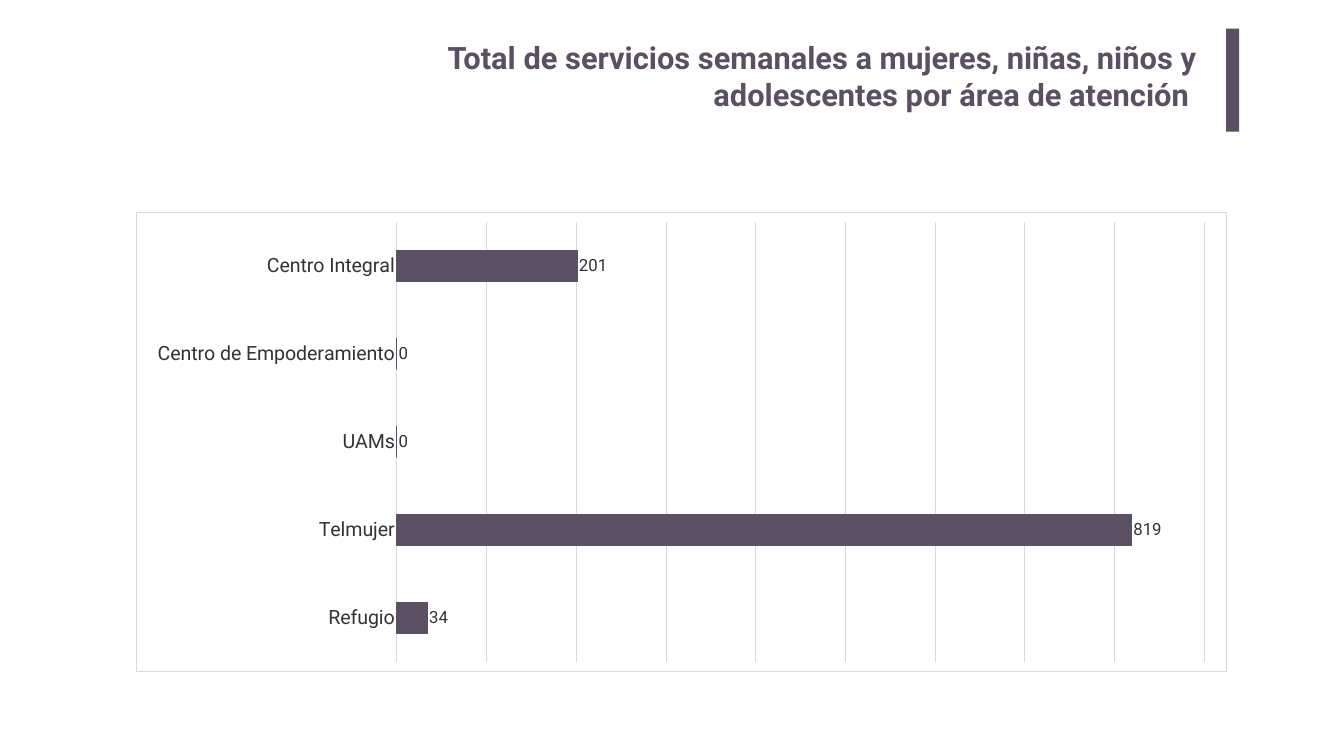
from lxml import etree
from pptx import Presentation
from pptx.chart.data import CategoryChartData
from pptx.dml.color import RGBColor
from pptx.enum.chart import XL_CHART_TYPE, XL_LABEL_POSITION, XL_TICK_MARK
from pptx.enum.shapes import MSO_SHAPE
from pptx.enum.text import MSO_ANCHOR, MSO_AUTO_SIZE, PP_ALIGN
from pptx.oxml import parse_xml
from pptx.oxml.ns import nsdecls
from pptx.util import Inches, Pt

# Content
TITLE = "Total de servicios semanales a mujeres, niñas, niños y adolescentes por área de atención "
SERVICES = [
    ("Centro Integral", 201),
    ("Centro de Empoderamiento", 0),
    ("UAMs", 0),
    ("Telmujer", 819),
    ("Refugio", 34),
]


class Theme:
    font = "Roboto"
    accent, text, rule, paper = "5B4F63", "333333", "D9D9D9", "FFFFFF"
    title_size, category_size, value_size, chart_size = 44, 28, 24, 10
    line_width = 0.75


def color(code):
    return RGBColor.from_string(code)


def place(left, top, width, height):
    return [Inches(value) for value in (left, top, width, height)]


def style_font(font, size, code, bold=False):
    font.name, font.size, font.bold = Theme.font, Pt(size), bold
    font.color.rgb = color(code)


def style_line(line, code):
    line.color.rgb = color(code)
    line.width = Pt(Theme.line_width)


def write_text(frame, text, size, code, bold=False, align=PP_ALIGN.LEFT):
    para = frame.paragraphs[0]
    para.alignment = align
    span = para.add_run()
    span.text = text
    style_font(span.font, size, code, bold)


def frame_chart(chart):
    """Give the whole chart area a fill and a thin border."""
    area = parse_xml(
        f'<c:spPr {nsdecls("c", "a")}>'
        f'<a:solidFill><a:srgbClr val="{Theme.paper}"/></a:solidFill>'
        f'<a:ln w="{int(Pt(Theme.line_width))}"><a:solidFill>'
        f'<a:srgbClr val="{Theme.rule}"/></a:solidFill></a:ln></c:spPr>')
    root = chart.element
    root.find(etree.QName(root.nsmap["c"], "chart")).addnext(area)


def add_title(page):
    box = page.shapes.title
    box.left, box.top, box.width, box.height = place(6.56, 0.67, 17.4, 2.04)
    frame = box.text_frame
    frame.word_wrap = True
    frame.auto_size = MSO_AUTO_SIZE.NONE
    frame.vertical_anchor = MSO_ANCHOR.TOP
    frame.margin_left = frame.margin_right = Inches(0.2)
    frame.margin_top = frame.margin_bottom = Inches(0.1)
    write_text(frame, TITLE, Theme.title_size, Theme.accent, bold=True, align=PP_ALIGN.RIGHT)


def add_accent_bar(page):
    bar = page.shapes.add_shape(MSO_SHAPE.RECTANGLE, *place(24.33, 0.57, 0.26, 2.04))
    bar.shadow.inherit = False
    bar.fill.solid()
    bar.fill.fore_color.rgb = color(Theme.accent)
    bar.line.fill.background()


def add_services_chart(page):
    data = CategoryChartData()
    data.categories = [name for name, _ in SERVICES]
    data.add_series("Series 1", [count for _, count in SERVICES])
    chart = page.shapes.add_chart(
        XL_CHART_TYPE.BAR_CLUSTERED, *place(2.69, 4.21, 21.64, 9.11), data).chart
    chart.has_legend = chart.has_title = False
    style_font(chart.font, Theme.chart_size, "000000")
    frame_chart(chart)

    # Axes
    areas = chart.category_axis
    areas.reverse_order = True
    areas.major_tick_mark = areas.minor_tick_mark = XL_TICK_MARK.NONE
    style_font(areas.tick_labels.font, Theme.category_size, Theme.text)
    style_line(areas.format.line, Theme.rule)
    counts = chart.value_axis
    counts.visible = False
    counts.minimum_scale, counts.maximum_scale, counts.major_unit = 0, 900, 100
    counts.has_major_gridlines = True
    style_line(counts.major_gridlines.format.line, Theme.rule)

    # Bars and their values
    plot = chart.plots[0]
    plot.gap_width = 182
    plot.vary_by_categories = False
    series = plot.series[0]
    series.format.fill.solid()
    series.format.fill.fore_color.rgb = color(Theme.accent)
    style_line(series.format.line, Theme.accent)
    labels = series.data_labels
    labels.show_value = True
    labels.position = XL_LABEL_POSITION.OUTSIDE_END
    style_font(labels.font, Theme.value_size, Theme.text)


def main():
    deck = Presentation()
    deck.slide_width, deck.slide_height = Inches(26.67), Inches(15)
    page = deck.slides.add_slide(deck.slide_layouts[5])
    add_title(page)
    add_accent_bar(page)
    add_services_chart(page)
    deck.save("out.pptx")


if __name__ == "__main__":
    main()
